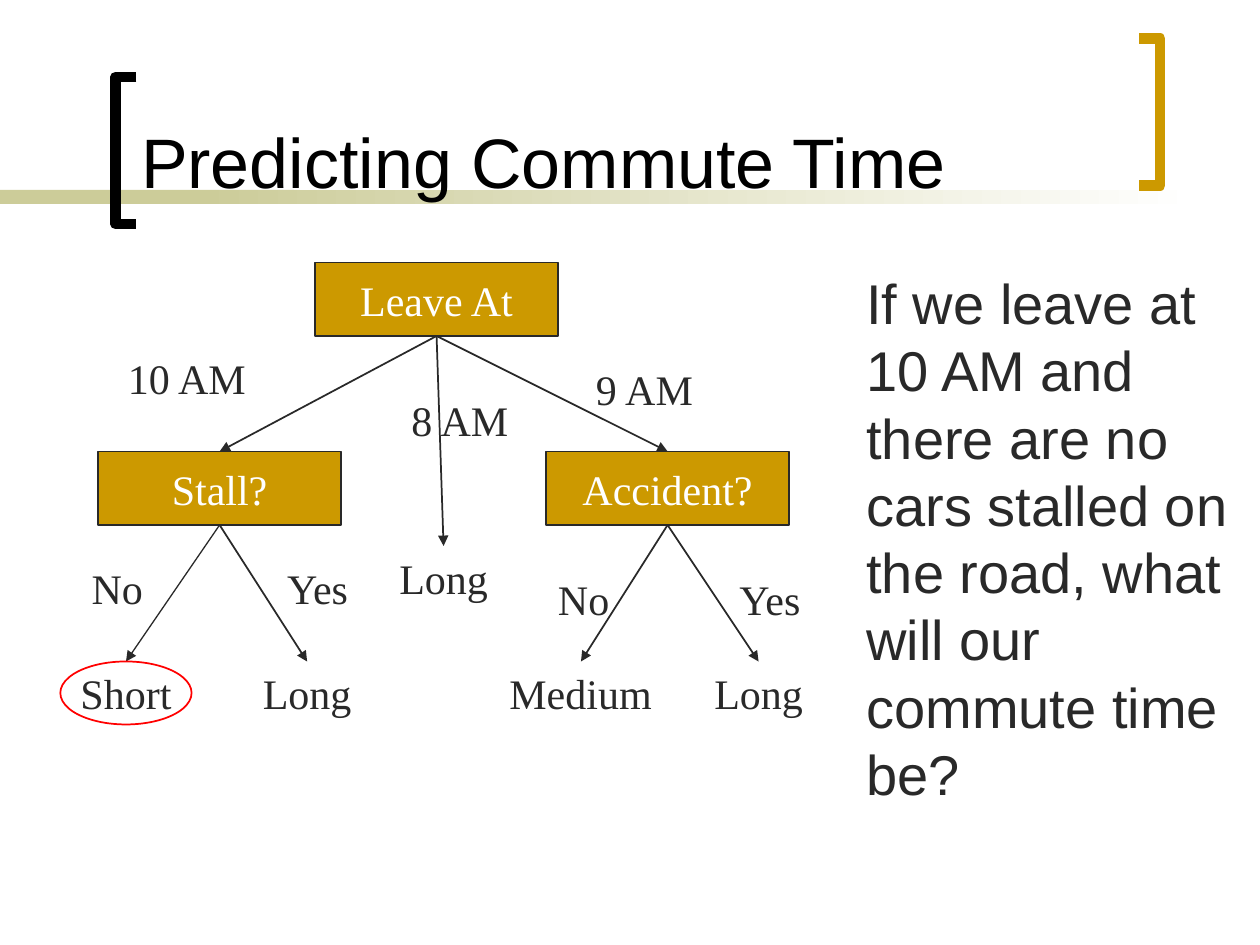
from lxml import etree
from pptx import Presentation
from pptx.dml.color import RGBColor
from pptx.enum import shapes, text
from pptx.oxml import ns
from pptx.util import Pt

INK, GOLD, KHAKI, WHITE, BLACK = "292929", "CC9900", "CCCC99", "FFFFFF", "000000"
SERIF, SANS = "Times New Roman", "Arial"
LEFT, CENTER = text.PP_ALIGN.LEFT, text.PP_ALIGN.CENTER


def color(value):
    return RGBColor.from_string(value)


def write(box, words, size, font, ink, align, anchor=text.MSO_ANCHOR.TOP):
    frame = box.text_frame
    frame.text = words
    frame.word_wrap = True
    frame.vertical_anchor = anchor
    para = frame.paragraphs[0]
    para.alignment = align
    span = para.runs[0]
    span.font.size = Pt(size)
    span.font.name = font
    span.font.color.rgb = color(ink)


deck = Presentation()
deck.slide_width, deck.slide_height = Pt(720), Pt(540)
page = deck.slides.add_slide(deck.slide_layouts[6])
rect = shapes.MSO_SHAPE.RECTANGLE

for left, width in [(0, 168), (114, 570)]:
    band = page.shapes.add_shape(rect, Pt(left), Pt(108.5), Pt(width), Pt(8))
    band.shadow.inherit = False
    band.line.fill.background()
    if left == 0:
        band.fill.solid()
        band.fill.fore_color.rgb = color(KHAKI)
    else:
        band.fill.gradient()
        band.fill.gradient_angle = 0
        for stop, shade in zip(band.fill.gradient_stops, [KHAKI, WHITE]):
            stop.color.rgb = color(shade)

for tip, spine, top, shade in [(78, 66, 44, BLACK), (651, 663, 22, GOLD)]:
    builder = page.shapes.build_freeform(tip, top, scale=Pt(1))
    builder.add_line_segments([(spine, top), (spine, top + 84), (tip, top + 84)], close=False)
    bracket = builder.convert_to_shape()
    bracket.shadow.inherit = False
    bracket.fill.background()
    bracket.line.color.rgb = color(shade)
    bracket.line.width = Pt(6)

title = page.shapes.add_textbox(Pt(73.5), Pt(8), Pt(564), Pt(111.5))
write(title, "Predicting Commute Time", 40, SANS, BLACK, LEFT, text.MSO_ANCHOR.BOTTOM)

for words, left, top in [("Leave At", 180, 150), ("Stall?", 56, 258), ("Accident?", 312, 258)]:
    node = page.shapes.add_shape(rect, Pt(left), Pt(top), Pt(139), Pt(42))
    node.shadow.inherit = False
    node.fill.solid()
    node.fill.fore_color.rgb = color(GOLD)
    node.line.color.rgb = color(INK)
    node.line.width = Pt(1)
    write(node, words, 24, SERIF, WHITE, CENTER, text.MSO_ANCHOR.MIDDLE)

root, stall, accident = (249.5, 192), (125.5, 300), (381.5, 300)
branches = [
    (root, (125.5, 258), 1),
    (root, (253.5, 312), 1),
    (root, (381.5, 258), 1),
    (stall, (72, 378), 0.75),
    (stall, (175.5, 378), 1),
    (accident, (332, 378), 1),
    (accident, (433.5, 378), 1),
]
for start, end, weight in branches:
    arrow = page.shapes.add_connector(
        shapes.MSO_CONNECTOR.STRAIGHT, *[Pt(value) for value in start + end])
    arrow.line.color.rgb = color(INK)
    arrow.line.width = Pt(weight)
    etree.SubElement(arrow.line._get_or_add_ln(), ns.qn("a:tailEnd"), type="triangle")
    etree.SubElement(arrow._element.spPr, ns.qn("a:effectLst"))

labels = [
    ("10 AM", 66, 198, 86, LEFT),
    ("8 AM", 228, 222, 75, LEFT),
    ("9 AM", 333.5, 204, 75, LEFT),
    ("No", 29.5, 318, 75, CENTER),
    ("Yes", 144, 318, 75, CENTER),
    ("No", 296, 324, 75, CENTER),
    ("Yes", 402.5, 324, 75, CENTER),
    ("Short", 34.5, 378, 75, CENTER),
    ("Long", 138, 378, 75, CENTER),
    ("Long", 216, 312, 75, CENTER),
    ("Medium", 276, 378, 111.5, CENTER),
    ("Long", 396, 378, 75, CENTER),
]
for words, left, top, width, align in labels:
    label = page.shapes.add_textbox(Pt(left), Pt(top), Pt(width), Pt(36))
    write(label, words, 24, SERIF, INK, align)

question = page.shapes.add_textbox(Pt(488), Pt(150), Pt(224), Pt(314.5))
write(question, "If we leave at 10 AM and there are no cars stalled on the road, "
      "what will our commute time be?", 32, SANS, INK, LEFT)

answer = page.shapes.add_shape(shapes.MSO_SHAPE.OVAL, Pt(34.5), Pt(378), Pt(75), Pt(36))
answer.shadow.inherit = False
answer.fill.background()
answer.line.color.rgb = color("FF0000")
answer.line.width = Pt(1)

deck.save("out.pptx")
